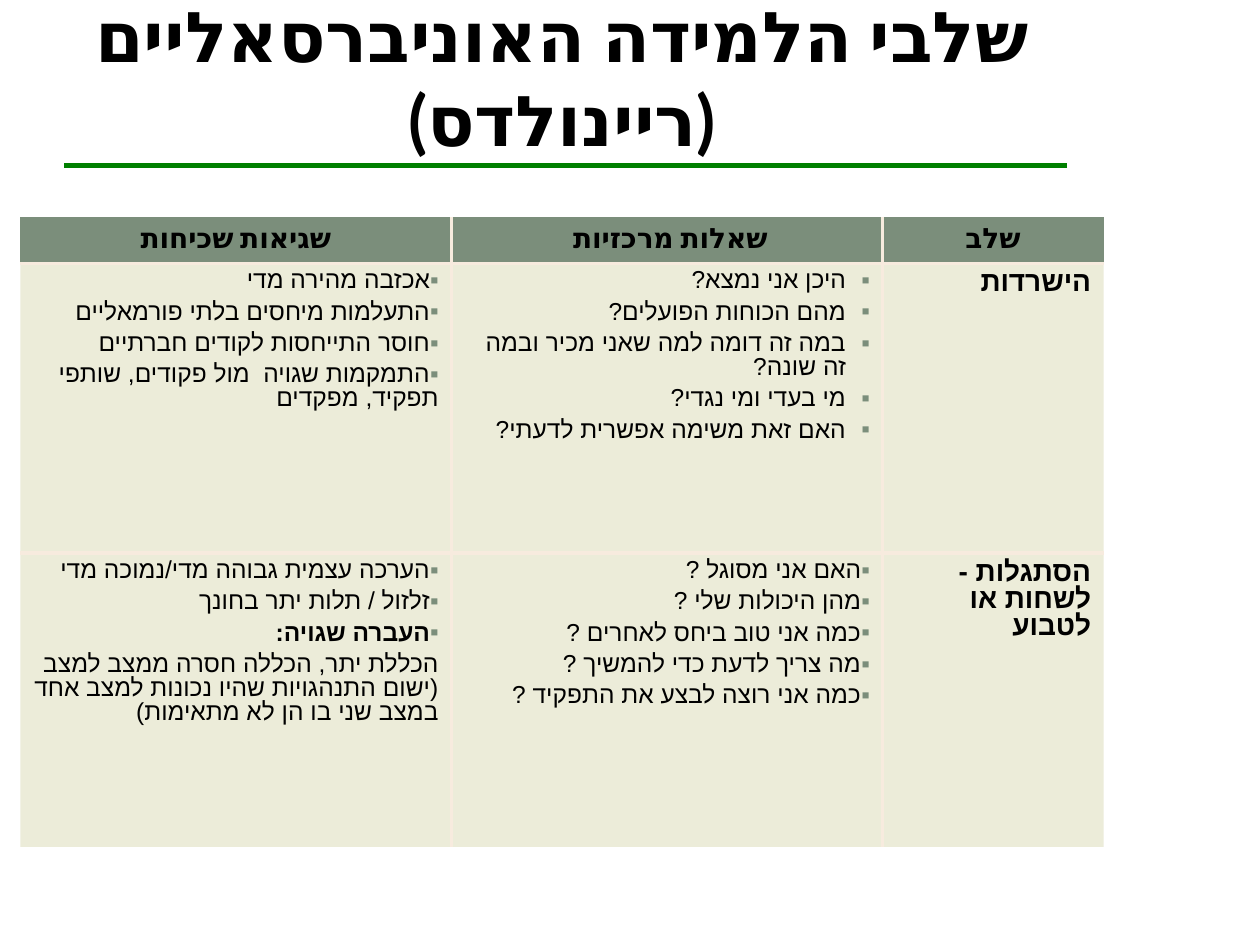
from dataclasses import dataclass

from lxml.etree import SubElement
from pptx import Presentation
from pptx.dml.color import RGBColor
from pptx.enum.shapes import MSO_CONNECTOR as Connector
from pptx.enum.text import MSO_ANCHOR as Anchor, PP_ALIGN as Align
from pptx.oxml import parse_xml
from pptx.oxml.ns import nsdecls, qn
from pptx.util import Cm, Pt

BLACK = RGBColor(0x00, 0x00, 0x00)
GREEN = RGBColor(0x00, 0x80, 0x00)
SAGE = RGBColor(0x7B, 0x8E, 0x7B)
OLIVE = RGBColor(0x80, 0x80, 0x00)
CREAM = RGBColor(0xF7, 0xEB, 0xDE)

COLUMN_WIDTHS = (8.69, 8.69, 4.46)
ROW_HEIGHTS = (0.94, 5.84, 5.92)
BORDER_WIDTH = Pt(2.25)
BODY_SPACING = 0.87
HANGING = Cm(0.48)


@dataclass(frozen=True)
class Line:
    text: str
    size: float = 14
    bold: bool = False
    font: str = "Arial"
    align: Align = Align.RIGHT
    bullet: bool = True
    hanging: int = 0
    spacing: float = BODY_SPACING
    after: float = 0.3  # share of the text size


def header(text: str) -> list[Line]:
    return [Line(text, 16, True, "Lato", Align.CENTER, bullet=False)]


def stage(text: str) -> list[Line]:
    return [Line(text, 16, True, bullet=False)]


def bullets(*texts: str, hanging: int = 0) -> list[Line]:
    return [Line(text, hanging=hanging) for text in texts]


TITLE = Line("שלבי הלמידה האוניברסאליים (ריינולדס)", 40, True, "Lato",
             Align.CENTER, bullet=False, spacing=1.0, after=0)

# Columns from left to right: common mistakes, key questions, stage
ROWS = [
    [header("שגיאות שכיחות"), header("שאלות מרכזיות "), header("שלב")],
    [
        bullets("אכזבה מהירה מדי",
                "התעלמות מיחסים בלתי פורמאליים",
                "חוסר התייחסות לקודים חברתיים",
                "התמקמות שגויה  מול פקודים, שותפי  תפקיד, מפקדים"),
        bullets("היכן אני נמצא?",
                "מהם הכוחות הפועלים?",
                "במה זה דומה למה שאני מכיר ובמה זה שונה?",
                "מי בעדי ומי נגדי?",
                "האם זאת משימה אפשרית לדעתי?",
                hanging=HANGING),
        stage("הישרדות"),
    ],
    [
        bullets("הערכה עצמית גבוהה מדי/נמוכה מדי",
                "זלזול / תלות יתר בחונך")
        + [Line("העברה שגויה:", bold=True),
           Line("הכללת יתר, הכללה חסרה ממצב למצב  (ישום התנהגויות שהיו "
                "נכונות למצב אחד במצב שני בו הן לא מתאימות)", bullet=False)],
        bullets("האם אני מסוגל ?",
                "מהן היכולות שלי ?",
                "כמה אני טוב ביחס לאחרים ?",
                "מה צריך לדעת כדי להמשיך ?",
                "כמה אני רוצה לבצע את התפקיד ?"),
        stage("הסתגלות - לשחות או לטבוע"),
    ],
]


def apply(target, values: dict) -> None:
    for name, value in values.items():
        setattr(target, name, value)


def write_line(paragraph, line: Line) -> None:
    """Write one right-to-left paragraph."""
    apply(paragraph, {
        "alignment": line.align,
        "line_spacing": line.spacing,
        "space_before": Pt(0),
        "space_after": Pt(line.after * line.size),
    })
    properties = paragraph._p.get_or_add_pPr()
    for name, value in {"marL": line.hanging, "marR": 0,
                        "indent": -line.hanging, "rtl": 1}.items():
        properties.set(name, str(value))
    if line.bullet:
        color = SubElement(properties, qn("a:buClr"))
        SubElement(color, qn("a:srgbClr"), val=str(SAGE))
        SubElement(properties, qn("a:buFont"), typeface="Arial")
        SubElement(properties, qn("a:buChar"), char="▪")
    else:
        SubElement(properties, qn("a:buNone"))

    run = paragraph.add_run()
    run.text = line.text
    apply(run.font, {"size": Pt(line.size), "bold": line.bold,
                     "name": line.font})
    run.font.color.rgb = BLACK
    run_properties = run._r.get_or_add_rPr()
    run_properties.set("lang", "he-IL")
    SubElement(run_properties, qn("a:cs"), typeface=line.font)


def write_lines(text_frame, lines: list[Line]) -> None:
    for index, line in enumerate(lines):
        write_line(text_frame.add_paragraph() if index
                   else text_frame.paragraphs[0], line)


def set_borders(cell, inner: dict[str, bool]) -> None:
    """Draw cream lines on inner sides and none on outer ones."""
    properties = cell._tc.get_or_add_tcPr()
    for index, (side, is_inner) in enumerate(inner.items()):
        paint = (f'<a:solidFill><a:srgbClr val="{CREAM}"/></a:solidFill>'
                 if is_inner else "<a:noFill/>")
        properties.insert(index, parse_xml(
            f'<a:ln{side} {nsdecls("a")} w="{BORDER_WIDTH}">{paint}</a:ln{side}>'))


def add_title(slide) -> None:
    box = slide.shapes.add_textbox(Cm(1.27), Cm(0.53), Cm(20.12), Cm(2.03))
    apply(box.text_frame, {
        "word_wrap": True, "vertical_anchor": Anchor.MIDDLE,
        "margin_left": Cm(0.13), "margin_right": Cm(0.13),
        "margin_top": 0, "margin_bottom": 0,
    })
    write_lines(box.text_frame, [TITLE])


def add_rule(slide) -> None:
    rule = slide.shapes.add_connector(
        Connector.STRAIGHT, Cm(21.51), Cm(3.33), Cm(1.3), Cm(3.33))
    rule.line.color.rgb = GREEN
    rule.line.width = Pt(3)
    SubElement(rule._element.spPr, qn("a:effectLst"))


def add_stage_table(slide) -> None:
    last_row, last_column = len(ROW_HEIGHTS) - 1, len(COLUMN_WIDTHS) - 1
    table = slide.shapes.add_table(
        len(ROW_HEIGHTS), len(COLUMN_WIDTHS), Cm(0.41), Cm(4.37),
        Cm(sum(COLUMN_WIDTHS)), Cm(sum(ROW_HEIGHTS))).table
    apply(table, {"first_row": False, "horz_banding": False})
    for column, width in zip(table.columns, COLUMN_WIDTHS):
        column.width = Cm(width)
    for row, height in zip(table.rows, ROW_HEIGHTS):
        row.height = Cm(height)

    for r, row_lines in enumerate(ROWS):
        for c, lines in enumerate(row_lines):
            cell = table.cell(r, c)
            cell.vertical_anchor = Anchor.TOP if r else Anchor.MIDDLE
            cell.fill.solid()
            cell.fill.fore_color.rgb = OLIVE if r else SAGE
            if r:  # body cells are a 15% tint
                color = cell._tc.tcPr.find(".//" + qn("a:srgbClr"))
                SubElement(color, qn("a:alpha"), val="15000")
            set_borders(cell, {"L": c > 0, "R": c < last_column,
                               "T": r > 0, "B": r < last_row})
            write_lines(cell.text_frame, lines)


def main() -> None:
    presentation = Presentation()
    apply(presentation, {"slide_width": Cm(25.4), "slide_height": Cm(19.05)})
    slide = presentation.slides.add_slide(presentation.slide_layouts[6])
    add_rule(slide)
    add_title(slide)
    add_stage_table(slide)
    presentation.save("out.pptx")


if __name__ == "__main__":
    main()
